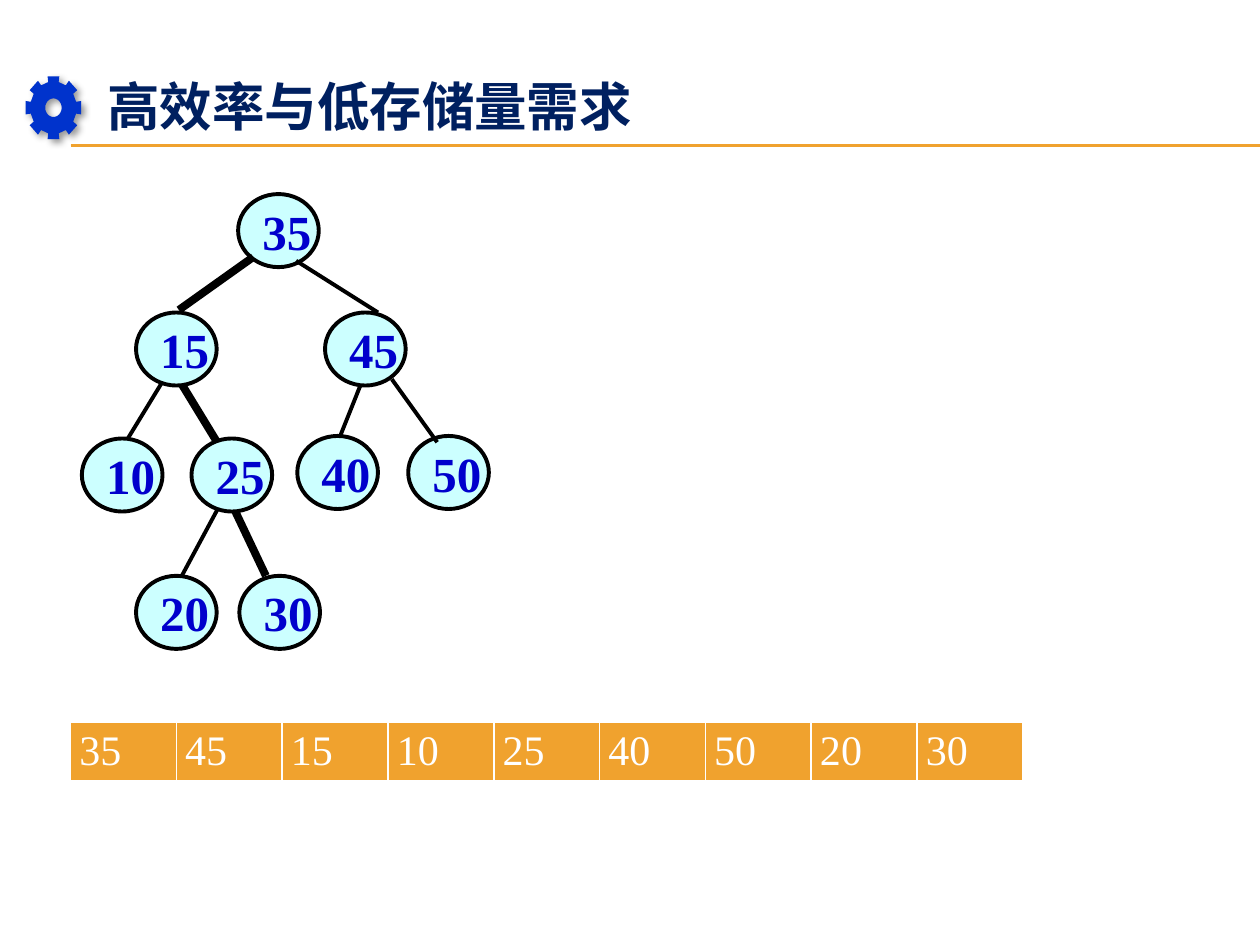
from dataclasses import dataclass
from math import cos, radians, sin

from lxml import etree
from pptx import Presentation
from pptx import util as u
from pptx.dml.color import RGBColor
from pptx.enum import shapes, text
from pptx.oxml import parse_xml
from pptx.oxml.ns import nsdecls, qn


@dataclass(frozen=True)
class Theme:
    navy: str = "002060"
    blue: str = "0033CC"
    number: str = "0000CC"
    node: str = "CCFFFF"
    accent: str = "F0A22E"
    black: str = "000000"
    white: str = "FFFFFF"
    title_font: str = "Noto Sans CJK SC"
    font: str = "Times New Roman"
    title_size: int = 30
    node_size: int = 28
    cell_size: int = 24
    rule: float = 0.75
    thin: float = 2.25
    thick: float = 4.5


THEME = Theme()

# Content
TITLE = "高效率与低存储量需求"
NODE_SIZE = (0.64, 0.58)
NODES = {  # value: left, top
    35: (1.89, 1.54),
    15: (1.08, 2.48), 45: (2.58, 2.48),
    50: (3.24, 3.46), 40: (2.36, 3.46), 25: (1.52, 3.48), 10: (0.65, 3.48),
    20: (1.08, 4.57), 30: (1.90, 4.57),
}
# Each edge: start, end, on the search path
EDGES_BEHIND = [
    ((2.86, 3.06), (2.70, 3.46), False),  # 45 to 40
    ((1.83, 3.98), (2.11, 4.57), True),   # 25 to 30
    ((1.76, 3.98), (1.40, 4.65), False),  # 25 to 20
    ((1.32, 2.98), (0.96, 3.57), False),  # 15 to 10
    ((1.40, 2.98), (1.76, 3.57), True),   # 15 to 25
]
EDGES_IN_FRONT = [
    ((2.01, 2.04), (1.42, 2.46), True),   # 35 to 15
    ((2.35, 2.07), (3.00, 2.48), False),  # 35 to 45
    ((3.11, 3.01), (3.47, 3.51), False),  # 45 to 50
]
STORED = [35, 45, 15, 10, 25, 40, 50, 20, 30]
LEFT, COLUMN, ROW = 0.56, 0.84, 0.41


def inches(*lengths):
    return [u.Inches(length) for length in lengths]


def color(value):
    return RGBColor.from_string(value)


def style(paragraph, font, size, fill, bold=None):
    for run in paragraph.runs:
        run.font.name = font
        run.font.size = u.Pt(size)
        run.font.bold = bold
        run.font.color.rgb = color(fill)


def add_line(slide, start, end, fill, width):
    line = slide.shapes.add_connector(
        shapes.MSO_CONNECTOR.STRAIGHT, *inches(*start, *end))
    line.line.color.rgb = color(fill)
    line.line.width = u.Pt(width)
    etree.SubElement(line._element.spPr, qn("a:effectLst"))


def add_edges(slide, edges):
    for start, end, searched in edges:
        add_line(slide, start, end, THEME.black,
                 THEME.thick if searched else THEME.thin)


def add_title(slide):
    title = slide.shapes.title
    title.left, title.top, title.width, title.height = inches(0.75, 0.5, 6.72, 0.68)
    title.text_frame.text = TITLE
    title.text_frame.vertical_anchor = text.MSO_ANCHOR.MIDDLE
    paragraph = title.text_frame.paragraphs[0]
    paragraph.alignment = text.PP_ALIGN.LEFT
    style(paragraph, THEME.title_font, THEME.title_size, THEME.navy, True)
    east_asian = etree.SubElement(paragraph.runs[0].font._element, qn("a:ea"))
    east_asian.set("typeface", THEME.title_font)


def add_node(slide, value, place):
    node = slide.shapes.add_shape(
        shapes.MSO_SHAPE.OVAL, *inches(*place, *NODE_SIZE))
    node.shadow.inherit = False
    node.fill.solid()
    node.fill.fore_color.rgb = color(THEME.node)
    node.line.color.rgb = color(THEME.black)
    node.line.width = u.Pt(THEME.thin)
    frame = node.text_frame
    frame.text = str(value)
    frame.word_wrap = False
    frame.vertical_anchor = text.MSO_ANCHOR.MIDDLE
    frame.paragraphs[0].alignment = text.PP_ALIGN.LEFT
    style(frame.paragraphs[0], THEME.font, THEME.node_size, THEME.number, True)


def add_table(slide):
    table = slide.shapes.add_table(
        1, len(STORED), *inches(LEFT, 5.73, COLUMN * len(STORED), ROW)).table
    for cell, value in zip(table.rows[0].cells, STORED):
        cell.text_frame.text = str(value)
        cell.margin_left = cell.margin_right = u.Inches(0.07)
        cell.margin_top = cell.margin_bottom = u.Inches(0.05)
        cell.fill.solid()
        cell.fill.fore_color.rgb = color(THEME.accent)
        style(cell.text_frame.paragraphs[0], THEME.font, THEME.cell_size, THEME.white)


def add_gear(slide):
    def point(degrees, share):
        angle = radians(degrees)
        return (u.Inches(0.425 + 0.225 * share * cos(angle)),
                u.Inches(0.855 + 0.255 * share * sin(angle)))

    teeth = [point(tooth + turn, share) for tooth in range(0, 360, 45)
             for turn, share in ((-13, 0.82), (-12, 1), (12, 1), (13, 0.82))]
    hole = [point(-degrees, 0.29) for degrees in range(0, 360, 15)]
    builder = slide.shapes.build_freeform(*teeth[0], scale=1.0)
    builder.add_line_segments(teeth[1:], close=True)
    builder.move_to(*hole[0])
    builder.add_line_segments(hole[1:], close=True)
    gear = builder.convert_to_shape()
    gear.fill.solid()
    gear.fill.fore_color.rgb = color(THEME.blue)
    gear.line.fill.background()
    gear._element.spPr.append(parse_xml(
        f'<a:effectLst {nsdecls("a")}><a:outerShdw blurRad="{u.Pt(4)}" '
        f'dist="{u.Pt(3)}" dir="2700000"><a:srgbClr val="{THEME.black}">'
        '<a:alpha val="40000"/></a:srgbClr></a:outerShdw></a:effectLst>'))


def main():
    presentation = Presentation()
    presentation.slide_width, presentation.slide_height = inches(10, 7.5)
    slide = presentation.slides.add_slide(presentation.slide_layouts[5])

    # Heading
    add_title(slide)
    for top in (1.15, 1.16):
        add_line(slide, (LEFT, top), (10, top), THEME.accent, THEME.rule)

    # Search tree
    add_edges(slide, EDGES_BEHIND)
    for value, place in NODES.items():
        add_node(slide, value, place)
    add_edges(slide, EDGES_IN_FRONT)

    # Stored sequence and heading icon
    add_table(slide)
    add_gear(slide)
    presentation.save("out.pptx")


if __name__ == "__main__":
    main()
